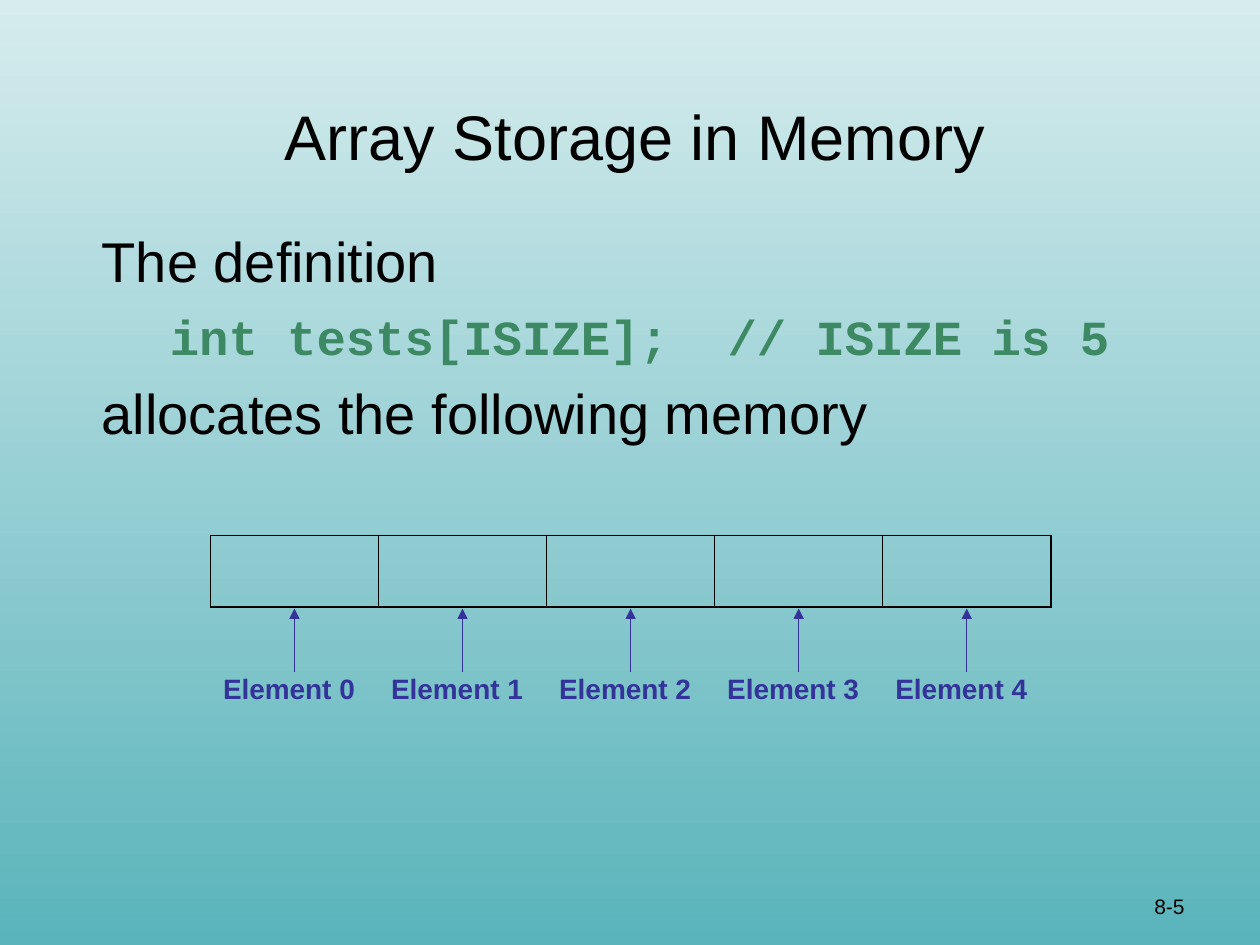
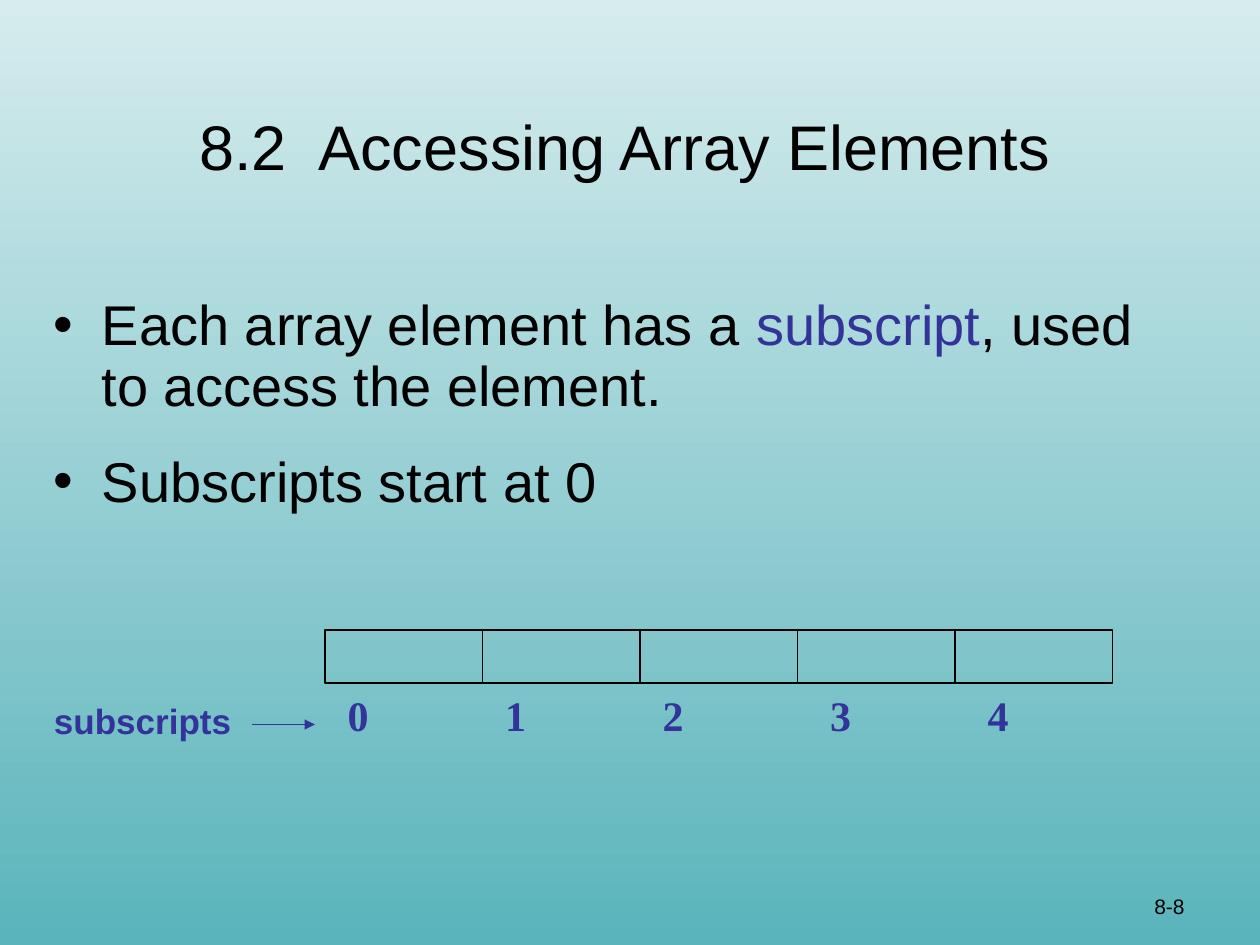
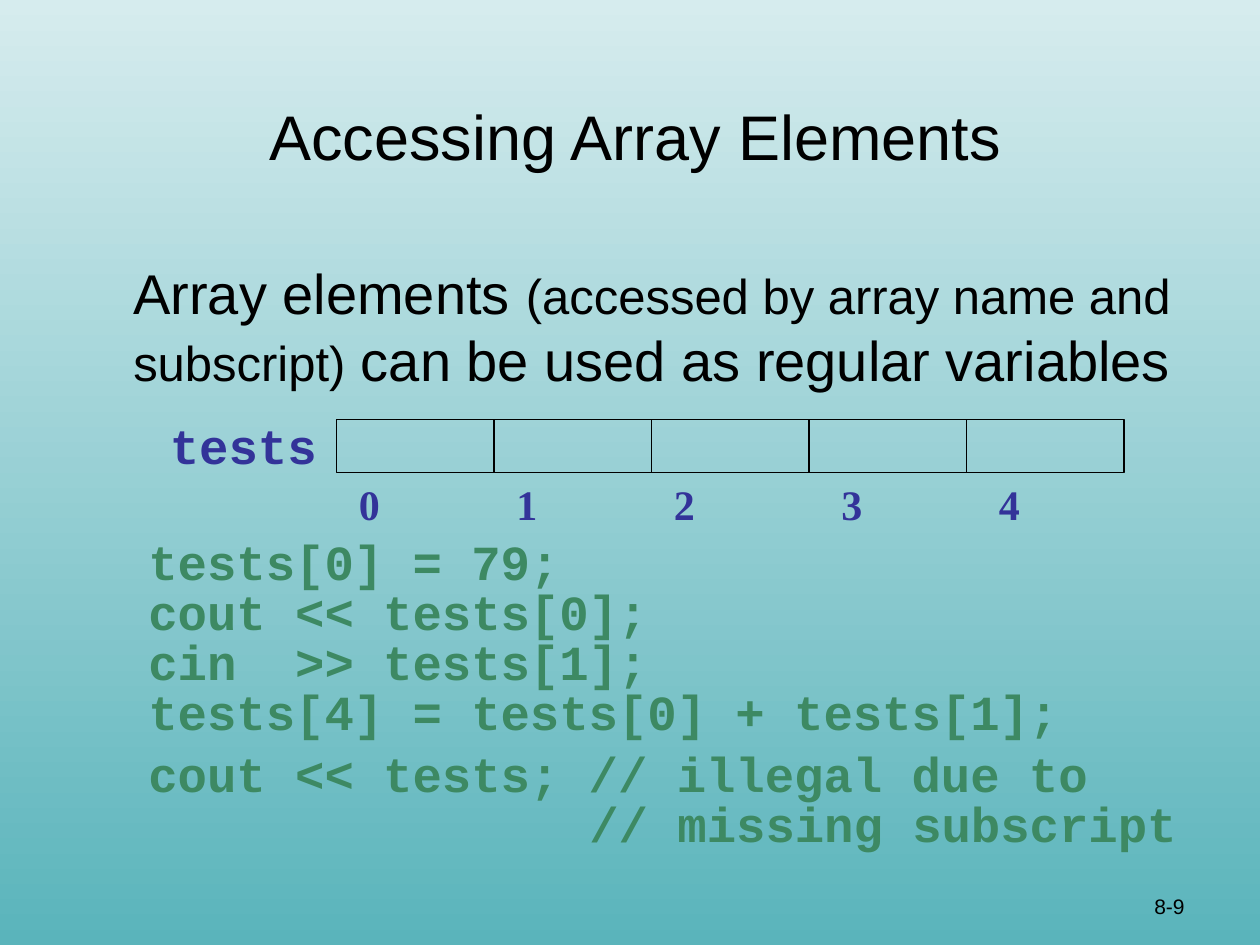
from lxml import etree
from pptx import Presentation
from pptx.dml.color import RGBColor
from pptx.enum.shapes import MSO_CONNECTOR, MSO_SHAPE
from pptx.enum.text import MSO_ANCHOR, PP_ALIGN
from pptx.oxml.ns import qn
from pptx.util import Inches, Pt

# Shared style
BLACK = RGBColor(0x00, 0x00, 0x00)
BLUE = RGBColor(0x33, 0x33, 0x99)
GREEN = RGBColor(0x3D, 0x89, 0x63)
TEAL = RGBColor(0x5A, 0xB4, 0xBB)
PALE = RGBColor(0xD6, 0xEC, 0xEE)
SANS, MONO, SERIF = "Arial", "Courier New", "Times New Roman"
LEFT, CENTER, RIGHT = PP_ALIGN.LEFT, PP_ALIGN.CENTER, PP_ALIGN.RIGHT
TOP, BOTTOM = MSO_ANCHOR.TOP, MSO_ANCHOR.BOTTOM
RECT, STRAIGHT = MSO_SHAPE.RECTANGLE, MSO_CONNECTOR.STRAIGHT

COUNT = 5
STEP = 1.25
THIN, THICK = 0.45, 1.08


# Text
def add_run(para, text, size, color=BLACK, font=SANS, bold=False):
    run = para.add_run()
    run.text = text
    run.font.size = Pt(size)
    run.font.name = font
    run.font.bold = bold
    run.font.color.rgb = color


def add_box(slide, left, top, width, height, anchor=TOP, right=0.1):
    frame = slide.shapes.add_textbox(
        Inches(left), Inches(top), Inches(width), Inches(height)).text_frame
    frame.word_wrap = True
    frame.vertical_anchor = anchor
    frame.margin_right = Inches(right)
    return frame


def add_para(frame, before=0, indent=0, spacing=None, align=LEFT):
    first = frame.paragraphs[0]
    para = frame.add_paragraph() if first.runs else first
    para.alignment = align
    para.space_before = Pt(before)
    if spacing:
        para.line_spacing = spacing
    para._p.get_or_add_pPr().set("marL", str(Inches(indent)))
    return para


def add_bullet(para, hang):
    props = para._p.get_or_add_pPr()
    props.set("indent", str(-Inches(hang)))
    color = etree.SubElement(props, qn("a:buClr"))
    etree.SubElement(color, qn("a:srgbClr"), val=str(BLACK))
    etree.SubElement(props, qn("a:buFont"), typeface=SANS)
    etree.SubElement(props, qn("a:buChar"), char="•")


def add_tabs(para, stops):
    tabs = etree.SubElement(para._p.get_or_add_pPr(), qn("a:tabLst"))
    for stop in stops:
        etree.SubElement(tabs, qn("a:tab"), pos=str(Inches(stop)), algn="l")


# Lines and cells
def add_arrow(slide, x1, y1, x2, y2):
    arrow = slide.shapes.add_connector(
        STRAIGHT, Inches(x1), Inches(y1), Inches(x2), Inches(y2))
    arrow.line.color.rgb = BLUE
    arrow.line.width = Pt(0.75)
    etree.SubElement(arrow.line._get_or_add_ln(), qn("a:tailEnd"), type="triangle")
    etree.SubElement(arrow._element.spPr, qn("a:effectLst"))


def set_edges(cell, left, right, top, bottom):
    """Draw the cell's borders; a width of 0 leaves a side open."""
    props = cell._tc.get_or_add_tcPr()
    sides = zip(("a:lnL", "a:lnR", "a:lnT", "a:lnB"), (left, right, top, bottom))
    for tag, width in sides:
        edge = etree.SubElement(props, qn(tag), w=str(Pt(width)))
        if width:
            fill = etree.SubElement(edge, qn("a:solidFill"))
            etree.SubElement(fill, qn("a:srgbClr"), val=str(BLACK))
        else:
            etree.SubElement(edge, qn("a:noFill"))


def add_grid(slide, top, height, framed):
    table = slide.shapes.add_table(
        1, COUNT, Inches(1.67), Inches(top), Inches(6.67), Inches(height)).table
    table.first_row = table.horz_banding = False
    for i in range(COUNT):
        cell = table.cell(0, i)
        if framed:
            set_edges(cell, THIN if i else THICK,
                      THIN if i < COUNT - 1 else THICK, THICK, THICK)
        else:
            set_edges(cell, 0, 0, 0, 0)
        cell.fill.background()
    return table


def add_array(slide, left, top):
    """Draw a row of empty cells with subscripts below."""
    for i in range(COUNT):
        cell = slide.shapes.add_shape(
            RECT, Inches(left + i * STEP), Inches(top), Inches(STEP), Inches(0.42))
        cell.shadow.inherit = False
        cell.fill.background()
        cell.line.color.rgb = BLACK
        cell.line.width = Pt(0.75)
    para = add_para(add_box(slide, left, top + 0.42, COUNT * STEP, 0.5), before=15)
    # The last two subscripts sit slightly further right
    add_tabs(para, [0.08 + i * STEP + (0.08 if i > 2 else 0) for i in range(COUNT)])
    for i in range(COUNT):
        add_run(para, f"\t{i}", 24, BLUE, SERIF, True)


# Slides
def add_slide(prs, title, number, place=(0.33, 0.33, 9.42, 1.09)):
    slide = prs.slides.add_slide(prs.slide_layouts[6])
    head = add_box(slide, *place, anchor=BOTTOM)
    add_run(add_para(head, align=CENTER), title, 36)
    foot = add_box(slide, 7.42, 6.84, 2.08, 0.5, anchor=BOTTOM)
    add_run(add_para(foot, align=RIGHT), number, 12)
    return slide


def add_storage(prs):
    slide = add_slide(prs, "Array Storage in Memory", "8-5")
    body = add_box(slide, 0.33, 1.75, 9.07, 5, right=0)
    add_run(add_para(body, 8, 0.38), "The definition", 32)
    add_run(add_para(body, 7, 0.92), "int tests[ISIZE];  // ISIZE is 5",
            28, GREEN, MONO, True)
    add_run(add_para(body, 8, 0.38), "allocates the following memory", 32)

    add_grid(slide, 4.25, 0.57, True)
    labels = add_grid(slide, 5.33, 0.92, False)
    pitch = 6.67 / COUNT
    for i in range(COUNT):
        para = add_para(labels.cell(0, i).text_frame, 4, spacing=0.85)
        add_run(para, f"Element {i}", 16, BLUE, bold=True)
        x = 1.67 + (i + 0.5) * pitch
        add_arrow(slide, x, 5.33, x, 4.83)


def add_access(prs):
    slide = add_slide(prs, "8.2  Accessing Array Elements", "8-8",
                      (0.67, 0.25, 8.58, 1.25))
    body = add_box(slide, 0.33, 2.31, 9.07, 4.17, right=0)
    para = add_para(body, 0, 0.38, 0.9)
    add_bullet(para, 0.38)
    add_run(para, "Each array element has a ", 32)
    add_run(para, "subscript", 32, BLUE)
    add_run(para, ", used to access the element.", 32)
    para = add_para(body, 16, 0.38)
    add_bullet(para, 0.38)
    add_run(para, "Subscripts start at 0", 32)

    label = add_box(slide, 0.33, 5.5, 1.75, 0.44)
    add_run(add_para(label), "subscripts", 20, BLUE, bold=True)
    add_arrow(slide, 2, 5.75, 2.5, 5.75)
    add_array(slide, 2.58, 5)


def add_usage(prs):
    slide = add_slide(prs, "Accessing Array Elements", "8-9")
    para = add_para(add_box(slide, 0.58, 2, 9, 1.25, right=0), 8, 0.38)
    add_run(para, "Array elements ", 32)
    add_run(para, "(accessed by array name and subscript)", 28)
    add_run(para, " can be used as regular variables", 32)

    add_array(slide, 2.67, 3.33)
    label = add_box(slide, 1.25, 3.25, 1.42, 0.57)
    add_run(add_para(label, 17.5), "tests", 28, BLUE, MONO, True)

    # Code lines: text, space before, indent
    code = add_box(slide, 0.58, 4.24, 9, 2.6, right=0)
    for text, before, indent in (
            ("tests[0] = 79;", 0, 0.5),
            ("cout << tests[0];", 0, 0.5),
            ("cin  >> tests[1];", 0, 0.5),
            ("tests[4] = tests[0] + tests[1];", 0, 0.5),
            ("cout << tests; // illegal due to", 7, 0.5),
            ("// missing subscript", 0, 4)):
        add_run(add_para(code, before, indent, 0.85), text, 28, GREEN, MONO, True)


def main():
    prs = Presentation()
    prs.slide_width, prs.slide_height = Inches(10), Inches(7.5)
    fill = prs.slide_master.background.fill
    fill.gradient()
    fill.gradient_angle = 90
    for stop, color in zip(fill.gradient_stops, (TEAL, PALE)):
        stop.color.rgb = color
    add_storage(prs)
    add_access(prs)
    add_usage(prs)
    prs.save("out.pptx")


if __name__ == "__main__":
    main()
